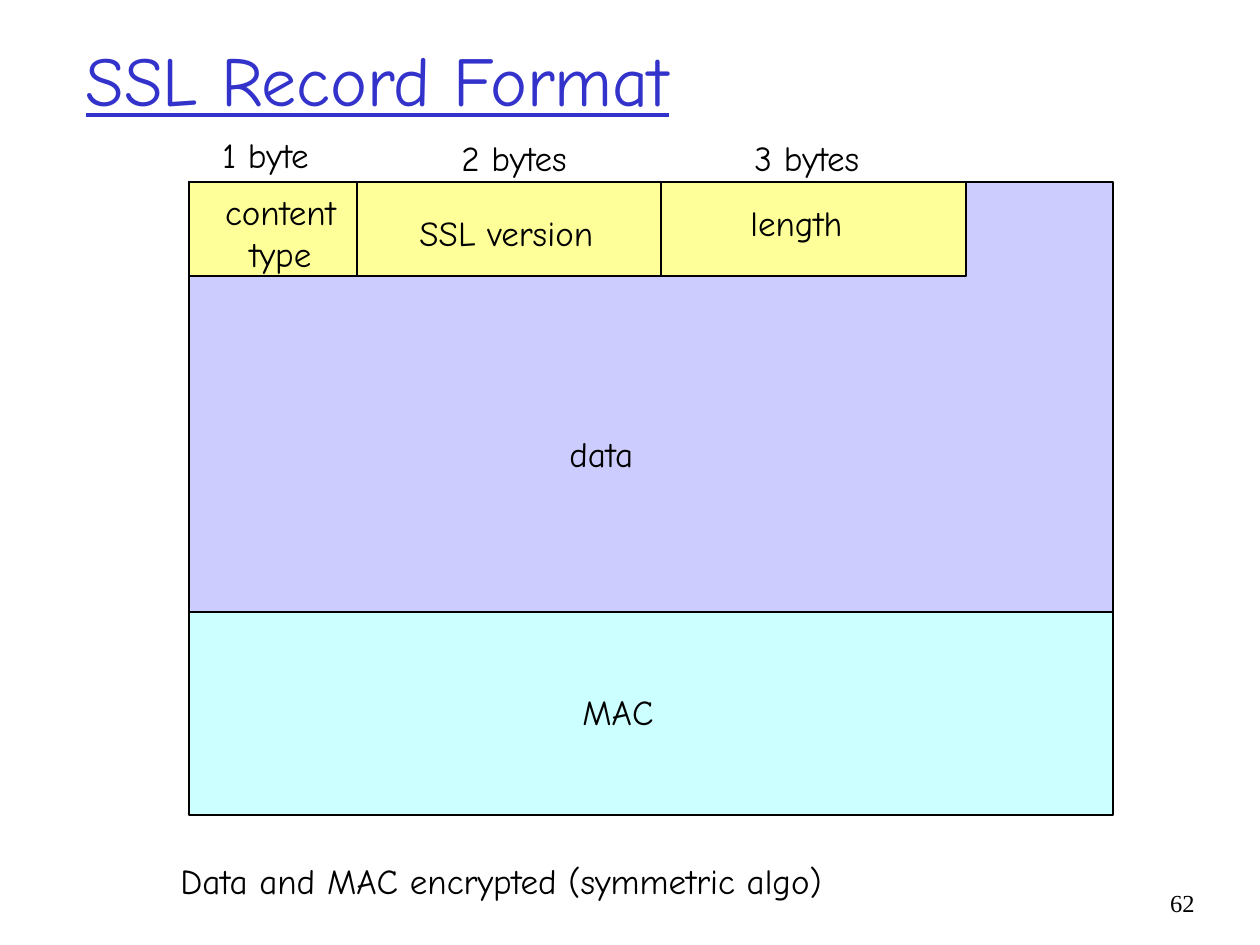
from dataclasses import dataclass

from pptx import Presentation
from pptx.dml.color import RGBColor
from pptx.enum.shapes import MSO_SHAPE
from pptx.enum.text import MSO_ANCHOR, MSO_AUTO_SIZE, PP_ALIGN
from pptx.util import Emu, Pt

RECT = MSO_SHAPE.RECTANGLE
LEFT, CENTER, RIGHT = PP_ALIGN.LEFT, PP_ALIGN.CENTER, PP_ALIGN.RIGHT
MIDDLE = MSO_ANCHOR.MIDDLE
GROW = MSO_AUTO_SIZE.SHAPE_TO_FIT_TEXT

EMU_PER_PX = 914400 / 126
HAND, SERIF = "Comic Neue", "Times New Roman"
COLORS = {
    "title": "3333CC",
    "ink": "000000",
    "header": "FFFF99",
    "data": "CCCCFF",
    "mac": "CCFFFF",
}


@dataclass
class Field:
    x: int
    y: int
    w: int
    h: int
    color: str


@dataclass
class Label:
    text: str
    x: int
    y: int
    w: int
    h: int = 55
    align: PP_ALIGN = LEFT
    size: int = 20
    font: str = HAND


RECORD_X, RECORD_Y, RECORD_W = 189, 182, 924
HEADER_H, DATA_H, MAC_H = 94, 430, 203
HEADER_WIDTHS = [168, 304, 305]

LABELS = [
    Label("content\ntype", 212, 184, 137, 97, CENTER),
    Label("SSL version", 407, 205, 199),
    Label("length", 738, 195, 117),
    Label("MAC", 570, 684, 96),
    Label("data", 557, 426, 89),
    Label("1 byte", 210, 127, 112),
    Label("2 bytes", 449, 130, 131),
    Label("3 bytes", 742, 130, 131),
    Label("Data and MAC encrypted (symmetric algo)", 168, 853, 669),
    Label("62", 1144, 882, 63, 63, RIGHT, 14, SERIF),
]


def px(n: int) -> Emu:
    return Emu(round(n * EMU_PER_PX))


def rgb(name: str) -> RGBColor:
    return RGBColor.from_string(COLORS[name])


def style(p, size: int, font: str, color: str, align: PP_ALIGN) -> None:
    p.alignment = align
    p.font.size = Pt(size)
    p.font.name = font
    p.font.color.rgb = rgb(color)


def add_title(s, text: str) -> None:
    sp = s.shapes.title
    sp.left, sp.top, sp.width, sp.height = px(73), px(0), px(1071), px(157)
    tf = sp.text_frame
    tf.text = text
    tf.vertical_anchor = MIDDLE
    p = tf.paragraphs[0]
    style(p, 40, HAND, "title", LEFT)
    p.font.underline = True


def add_field(s, f: Field) -> None:
    sp = s.shapes.add_shape(RECT, px(f.x), px(f.y), px(f.w), px(f.h))
    sp.shadow.inherit = False
    sp.fill.solid()
    sp.fill.fore_color.rgb = rgb(f.color)
    sp.line.color.rgb = rgb("ink")
    sp.line.width = Pt(0.75)


def add_label(s, label: Label) -> None:
    sp = s.shapes.add_textbox(px(label.x), px(label.y), px(label.w), px(label.h))
    tf = sp.text_frame
    tf.text = label.text
    tf.word_wrap = False
    tf.auto_size = GROW
    for p in tf.paragraphs:
        style(p, label.size, label.font, "ink", label.align)


def main() -> None:
    prs = Presentation()
    prs.slide_width, prs.slide_height = px(1260), px(945)
    s = prs.slides.add_slide(prs.slide_layouts[5])

    add_title(s, "SSL Record Format")
    add_field(s, Field(RECORD_X, RECORD_Y, RECORD_W, DATA_H, "data"))
    x = RECORD_X
    for w in HEADER_WIDTHS:
        add_field(s, Field(x, RECORD_Y, w, HEADER_H, "header"))
        x += w
    add_field(s, Field(RECORD_X, RECORD_Y + DATA_H, RECORD_W, MAC_H, "mac"))
    for label in LABELS:
        add_label(s, label)

    prs.save("out.pptx")


if __name__ == "__main__":
    main()
